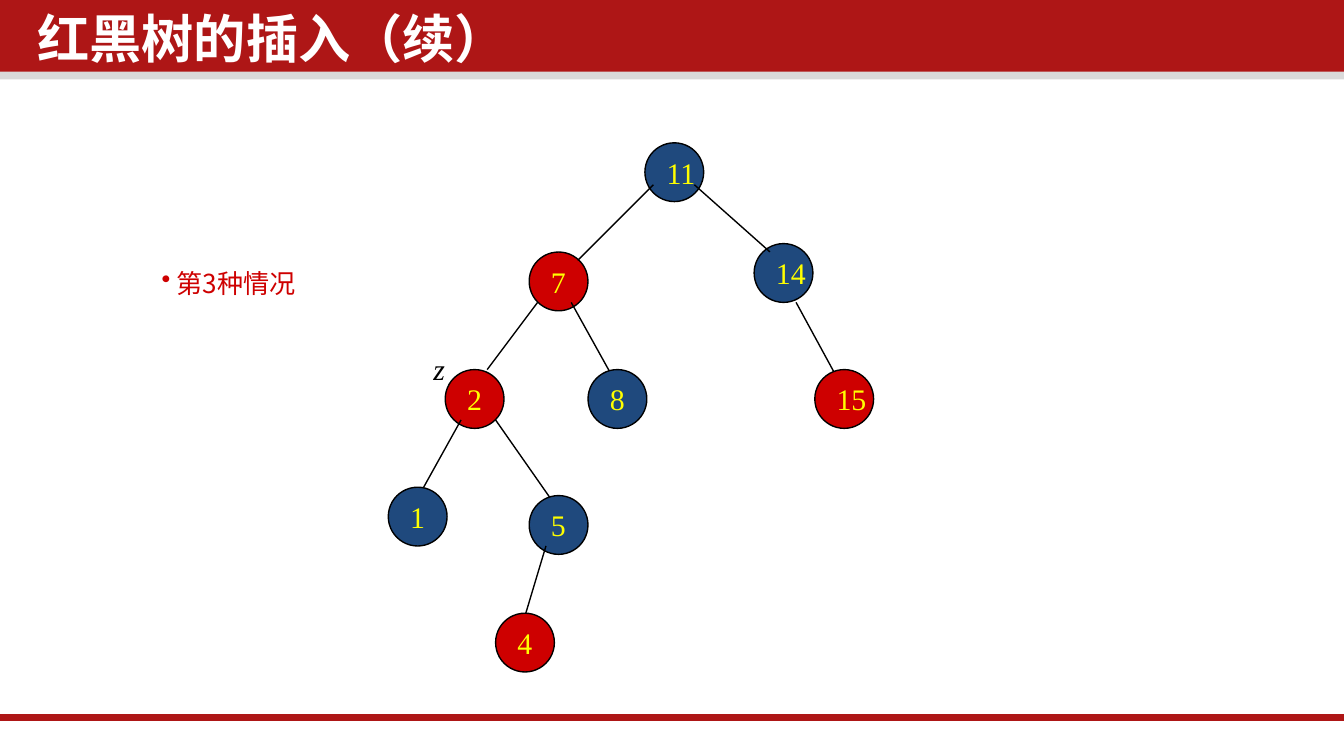
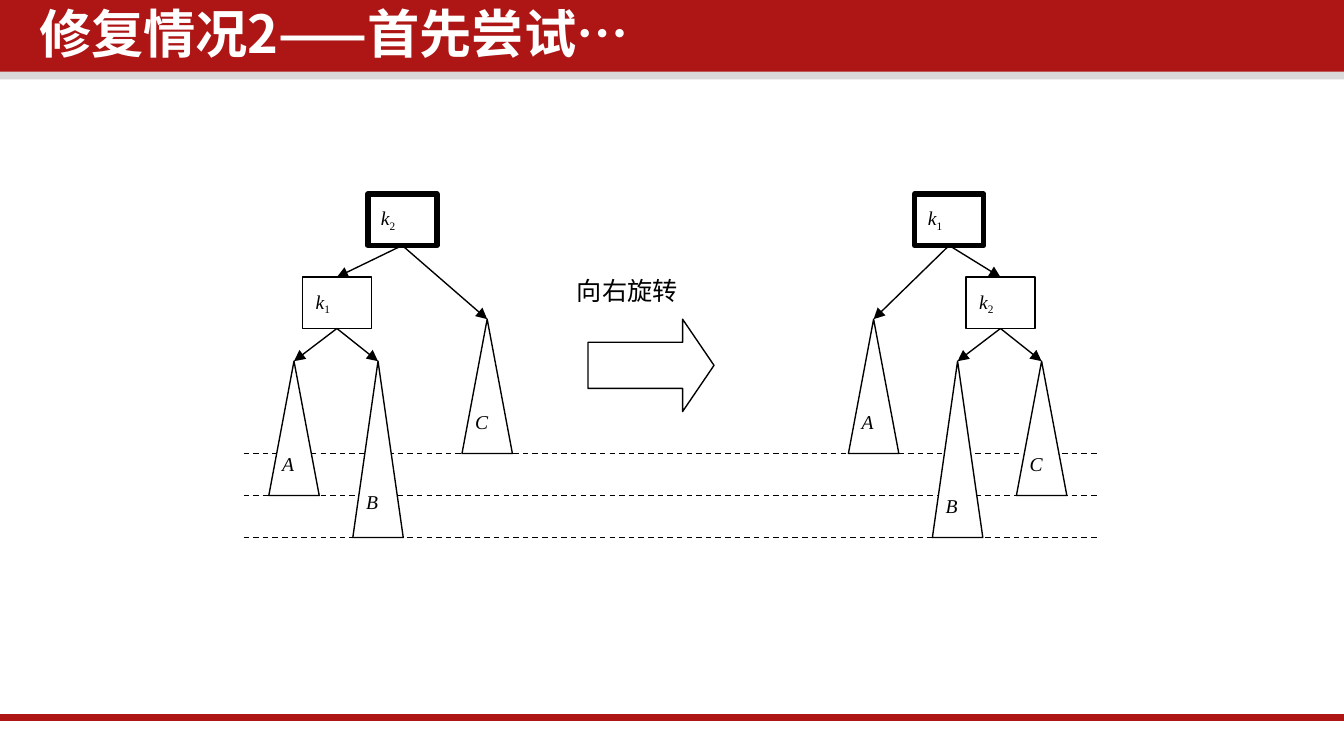
from dataclasses import dataclass

from lxml.etree import SubElement
from pptx import Presentation
from pptx.dml.color import RGBColor
from pptx.enum.dml import MSO_LINE
from pptx.enum.shapes import MSO_CONNECTOR, MSO_SHAPE
from pptx.enum.text import MSO_ANCHOR, MSO_AUTO_SIZE, PP_ALIGN
from pptx.oxml.ns import qn
from pptx.util import Pt

WIDTH, HEIGHT = 720, 405
BAND, SHADE, WHITE, BLACK = "AE1616", "D9D9D9", "FFFFFF", "000000"
RED, NAVY, YELLOW = "CE0000", "1F497D", "FFFF00"
SANS, SERIF = "Noto Sans CJK SC", "Times New Roman"
THIN = 0.75
NODE_SIZE = 31.5
BOX_W, BOX_H = 37, 27.5
SUBTREE_W = 27


@dataclass
class Style:
    """Font settings of a paragraph."""
    size: float
    color: str = BLACK
    name: str = SERIF
    bold: bool = False
    italic: bool = False


@dataclass
class Node:
    """A red or black node of the search tree."""
    key: str
    x: float
    y: float
    color: str


@dataclass
class Line:
    """A straight line between two points."""
    x1: float
    y1: float
    x2: float
    y2: float
    width: float = THIN
    color: str = BLACK
    dashed: bool = False
    arrow: bool = False


@dataclass
class Box:
    """A framed key k with its index."""
    index: str
    x: float
    y: float
    border: float = THIN

    @property
    def center(self) -> float:
        """Return the horizontal centre."""
        return self.x + BOX_W / 2


@dataclass
class Subtree:
    """A triangle that stands for a whole subtree."""
    name: str
    x: float
    y: float
    parent: Box
    height: float = 72
    label_dy: float = 45


TITLE = Style(28, WHITE, SANS, bold=True)
KEY = Style(16, YELLOW)
CASE = Style(14, RED, SANS)
POINTER = Style(16, italic=True)
SMALL = Style(10.5)
SUBTREE = Style(10.5, italic=True)
ROTATION = Style(13.5)

UPPER_NODES = [
    Node("7", 283.5, 135, RED),
    Node("11", 345.5, 76.5, NAVY),
    Node("2", 238.5, 198, RED),
    Node("14", 404, 130.5, NAVY),
]
UPPER_EDGES = [
    Line(350, 99, 309.5, 139.5),
    Line(372, 99, 412.5, 135),
    Line(247, 225, 224.5, 265.5),
    Line(265.5, 225, 297, 270),
    Line(426.5, 162, 448.5, 202.5),
    Line(306, 162, 328.5, 202.5),
    Line(288, 162, 261, 198),
]
LOWER_NODES = [
    Node("1", 208, 261, NAVY),
    Node("5", 283.5, 265.5, NAVY),
    Node("8", 315, 198, NAVY),
    Node("15", 436.5, 198, RED),
]
LEAF_EDGE = Line(292.5, 292.5, 279, 337.5)
LEAF = Node("4", 265.5, 328.5, RED)


def rgb(color: str) -> RGBColor:
    """Turn a hex string into a colour."""
    return RGBColor.from_string(color)


def set_style(p, style: Style) -> None:
    """Set the font of a paragraph for Latin and Chinese text."""
    f = p.font
    f.size, f.name = Pt(style.size), style.name
    f.bold, f.italic = style.bold, style.italic
    f.color.rgb = rgb(style.color)
    defaults = p._p.get_or_add_pPr().find(qn("a:defRPr"))
    SubElement(defaults, qn("a:ea"), typeface=SANS)


def paint(sp, fill: str | None, line: str | None = BLACK, width: float = THIN) -> None:
    """Set fill and outline and remove the shadow."""
    sp.shadow.inherit = False
    if fill:
        sp.fill.solid()
        sp.fill.fore_color.rgb = rgb(fill)
    else:
        sp.fill.background()
    if line:
        sp.line.color.rgb = rgb(line)
        sp.line.width = Pt(width)
    else:
        sp.line.fill.background()


def add_preset(s, kind, x: float, y: float, w: float, h: float):
    """Add a preset shape ready for left-aligned text."""
    sp = s.shapes.add_shape(kind, Pt(x), Pt(y), Pt(w), Pt(h))
    tf = sp.text_frame
    tf.word_wrap, tf.vertical_anchor = False, MSO_ANCHOR.MIDDLE
    tf.paragraphs[0].alignment = PP_ALIGN.LEFT
    return sp


def add_text(s, text: str, x: float, y: float, w: float, h: float,
             style: Style, wrap: bool = False):
    """Add a text box and return it."""
    sp = s.shapes.add_textbox(Pt(x), Pt(y), Pt(w), Pt(h))
    tf = sp.text_frame
    tf.word_wrap = wrap
    tf.auto_size = MSO_AUTO_SIZE.NONE if wrap else MSO_AUTO_SIZE.SHAPE_TO_FIT_TEXT
    p = tf.paragraphs[0]
    p.add_run().text = text
    set_style(p, style)
    return sp


def draw_line(s, line: Line) -> None:
    """Draw a line, dashed or with an arrowhead if asked."""
    c = s.shapes.add_connector(MSO_CONNECTOR.STRAIGHT, Pt(line.x1), Pt(line.y1),
                               Pt(line.x2), Pt(line.y2))
    c.line.color.rgb = rgb(line.color)
    c.line.width = Pt(line.width)
    if line.dashed:
        c.line.dash_style = MSO_LINE.DASH
    sp_pr = c._element.spPr
    if line.arrow:
        SubElement(sp_pr.find(qn("a:ln")), qn("a:tailEnd"), type="triangle")
    SubElement(sp_pr, qn("a:effectLst"))


def draw_node(s, node: Node) -> None:
    """Draw a round tree node."""
    sp = add_preset(s, MSO_SHAPE.OVAL, node.x, node.y, NODE_SIZE, NODE_SIZE)
    paint(sp, node.color)
    p = sp.text_frame.paragraphs[0]
    p.add_run().text = node.key
    set_style(p, KEY)


def draw_box(s, box: Box) -> None:
    """Draw a key box with a subscript index."""
    sp = add_preset(s, MSO_SHAPE.RECTANGLE, box.x, box.y, BOX_W, BOX_H)
    paint(sp, None, width=box.border)
    p = sp.text_frame.paragraphs[0]
    set_style(p, SMALL)
    r = p.add_run()
    r.text, r.font.italic = "k", True
    r = p.add_run()
    r.text = box.index
    r._r.get_or_add_rPr().set("baseline", "-25000")


def draw_subtree(s, tree: Subtree) -> None:
    """Draw a triangle, its name and the arrow from its parent."""
    base = tree.y + tree.height
    apex = tree.x + SUBTREE_W / 2
    fb = s.shapes.build_freeform(Pt(tree.x), Pt(base))
    fb.add_line_segments([(Pt(tree.x + SUBTREE_W), Pt(base)), (Pt(apex), Pt(tree.y))])
    paint(fb.convert_to_shape(), WHITE)
    add_text(s, tree.name, tree.x, tree.y + tree.label_dy, 21, 20, SUBTREE)
    parent = tree.parent
    draw_line(s, Line(parent.center, parent.y + BOX_H, apex, tree.y, arrow=True))


def draw_rotation_tree(s, root: Box, child: Box, subtrees: list[Subtree]) -> None:
    """Draw a root, its inner child and three subtrees."""
    for box in (root, child):
        draw_box(s, box)
    draw_line(s, Line(root.center, root.y + BOX_H, child.center, child.y, arrow=True))
    for tree in subtrees:
        draw_subtree(s, tree)


def add_slide(prs, title: str, x: float, y: float):
    """Add a slide with bands, footer line and title."""
    s = prs.slides.add_slide(prs.slide_layouts[6])
    for top, height, color in ((36, 6.5, SHADE), (0, 38.5, BAND)):
        paint(add_preset(s, MSO_SHAPE.RECTANGLE, 0, top, WIDTH, height), color, None)
    draw_line(s, Line(0, 384.5, WIDTH, 384.5, 4, BAND))
    tf = add_text(s, title, x, y, 550, 42.5, TITLE, wrap=True).text_frame
    tf.margin_left = tf.margin_right = Pt(5)
    tf.margin_top = tf.margin_bottom = Pt(2.75)
    p = tf.paragraphs[0]
    p.line_spacing, p.space_before = 0.9, Pt(7.5)
    return s


def build_insertion(prs) -> None:
    """Build the slide on red-black insertion."""
    s = add_slide(prs, "红黑树的插入（续）", 15, 4.5)
    for node in UPPER_NODES:
        draw_node(s, node)
    for edge in UPPER_EDGES:
        draw_line(s, edge)
    for node in LOWER_NODES:
        draw_node(s, node)
    draw_line(s, LEAF_EDGE)
    draw_node(s, LEAF)
    p = add_text(s, " 第3种情况", 79.5, 139.5, 90, 24.5, CASE, wrap=True).text_frame.paragraphs[0]
    p_pr = p._p.get_or_add_pPr()
    bullet = SubElement(p_pr, qn("a:buChar"), char="•")
    p_pr.find(qn("a:defRPr")).addprevious(bullet)
    add_text(s, "z", 225, 184.5, 21, 26.5, POINTER)


def build_rotation(prs) -> None:
    """Build the slide on the right rotation."""
    s = add_slide(prs, "修复情况2——首先尝试…", 16, 1.5)
    for i in range(3):
        y = 243 + 22.5 * i
        draw_line(s, Line(130.5, y, 589.5, y, dashed=True))
    root, child = Box("2", 197, 104, 3), Box("1", 162, 148.5)
    draw_rotation_tree(s, root, child, [
        Subtree("A", 144, 193.5, child),
        Subtree("B", 189, 193.5, child, 94.5, 65.5),
        Subtree("C", 247.5, 171, root),
    ])
    arrow = add_preset(s, MSO_SHAPE.RIGHT_ARROW, 315, 171, 67.5, 49.5)
    arrow.adjustments[0], arrow.adjustments[1] = 0.5, 0.34
    paint(arrow, WHITE)
    sp = add_text(s, "向右旋转", 302, 144, 90, 24, ROTATION, wrap=True)
    sp.text_frame.paragraphs[0].space_before = Pt(6.75)
    root, child = Box("1", 490, 104, 3), Box("2", 517.5, 148.5)
    draw_rotation_tree(s, root, child, [
        Subtree("A", 454.5, 171, root),
        Subtree("B", 499.5, 193.5, child, 94.5, 67.5),
        Subtree("C", 544.5, 193.5, child),
    ])


def main() -> None:
    """Build and save the presentation."""
    prs = Presentation()
    prs.slide_width, prs.slide_height = Pt(WIDTH), Pt(HEIGHT)
    build_insertion(prs)
    build_rotation(prs)
    prs.save("out.pptx")


if __name__ == "__main__":
    main()
